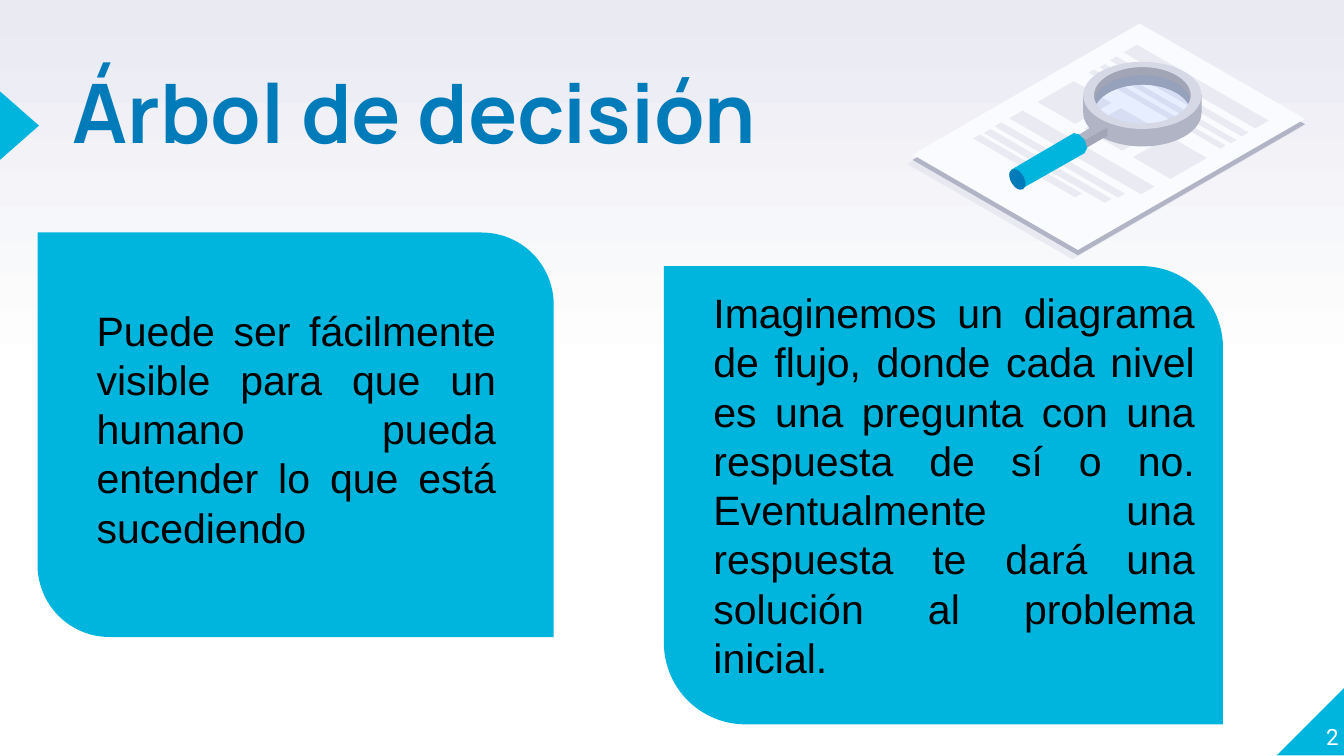
"""Build the "Árbol de decisión" slide with its magnifier illustration."""
from copy import deepcopy
from math import cos, radians, sin

from lxml import etree
from pptx import Presentation
from pptx.dml.color import RGBColor
from pptx.enum.shapes import MSO_SHAPE as Preset
from pptx.enum.text import MSO_ANCHOR as Anchor, PP_ALIGN as Align
from pptx.oxml.ns import qn
from pptx.util import Inches, Pt

COLORS = {
    "cyan": "00B5DD", "blue": "007BB9", "white": "FFFFFF", "black": "000000",
    "mist": "E9EAF2", "paper": "FAFBFF", "silver": "D6D8E5",
    "steel": "B1B4C4", "slate": "A1A5B5", "glass": "3E7EFF",
}
SLOPE = 0.577


def paint(shape, color, alpha=100):
    shape.shadow.inherit = False
    shape.fill.solid()
    shape.fill.fore_color.rgb = RGBColor.from_string(COLORS[color])
    shape.line.fill.background()
    if alpha < 100:
        tint = shape.element.spPr.find(qn("a:solidFill")).find(qn("a:srgbClr"))
        etree.SubElement(tint, qn("a:alpha"), val=str(alpha * 1000))


def add_text(text, box, size, font, color, bold=False, align=Align.LEFT,
             anchor=Anchor.TOP, inset=0, spacing=1.0):
    frame = slide.shapes.add_textbox(*map(Inches, box)).text_frame
    frame.word_wrap = True
    frame.vertical_anchor = anchor
    frame.margin_left = frame.margin_right = Inches(inset)
    frame.margin_top = frame.margin_bottom = Inches(inset)
    paragraph = frame.paragraphs[0]
    paragraph.alignment = align
    paragraph.line_spacing = spacing
    run = paragraph.add_run()
    run.text = text
    run.font.size = Pt(size)
    run.font.name = font
    run.font.bold = bold
    run.font.color.rgb = RGBColor.from_string(COLORS[color])


deck = Presentation()
deck.slide_width, deck.slide_height = Inches(10), Inches(10) * 9 // 16
slide = deck.slides.add_slide(deck.slide_layouts[6])

backdrop = slide.background.fill
backdrop.gradient()
backdrop.gradient_angle = 90
for stop, color in zip(backdrop.gradient_stops, ("white", "mist")):
    stop.color.rgb = RGBColor.from_string(COLORS[color])
stops = slide.element.find(".//" + qn("a:gsLst"))
middle = deepcopy(stops[0])
middle.set("pos", "50000")
stops.insert(1, middle)

corner = slide.shapes.add_shape(
    Preset.RIGHT_TRIANGLE, *map(Inches, (9.5, 5.11, 0.51, 0.51)))
corner.element.spPr.xfrm.set("flipH", "1")
paint(corner, "cyan")
pointer = slide.shapes.add_shape(
    Preset.ISOSCELES_TRIANGLE, *map(Inches, (-0.11, 0.79, 0.51, 0.29)))
pointer.rotation = 90
paint(pointer, "cyan")

add_text("Árbol de decisión", (0.54, 0.6, 6.17, 0.73), 44, "Manrope", "blue",
         bold=True, spacing=0.8)
add_text("2", (9.46, 5.07, 0.5, 0.51), 12, "Roboto", "white",
         align=Align.RIGHT, anchor=Anchor.BOTTOM)

sheets = [
    (6.75, 1.22, 1.69, 1.23, "silver", 40),
    (6.79, 1.19, 1.69, 1.23, "steel", 100),
    (6.79, 1.15, 1.69, 1.23, "paper", 100),
]
printed = [
    (8.36, 0.39, 0.1, 0.98), (8.26, 0.45, 0.05, 0.98),
    (8.18, 0.5, 0.04, 0.98), (8.1, 0.54, 0.04, 0.98),
    (7.51, 0.88, 0.1, 0.98), (7.4, 0.94, 0.05, 0.92),
    (7.32, 0.99, 0.05, 0.9), (7.24, 1.03, 0.05, 0.76),
    (7.72, 0.76, 0.27, 0.28), (8.07, 0.96, 0.27, 0.28),
    (8.43, 1.17, 0.27, 0.28),
]
pieces = []
for x, y, rise, fall, color, alpha in sheets + [(*p, "mist", 100) for p in printed]:
    pieces.append(([[(x, y), (x + rise, y - SLOPE * rise),
                     (x + rise + fall, y + SLOPE * (fall - rise)),
                     (x + fall, y + SLOPE * fall)]], color, alpha))

low_outer, low_inner, top_outer, top_inner, lens = [
    [(8.5 + rx * cos(radians(turn)), cy + ry * sin(radians(turn)))
     for turn in range(0, 360, 5)]
    for cy, rx, ry in ((0.84, 0.44, 0.25), (0.84, 0.36, 0.21),
                       (0.71, 0.44, 0.25), (0.71, 0.36, 0.21),
                       (0.77, 0.36, 0.21))]
inner_wall = low_inner[40:69] + [(8.88, 0.7), (8.87, 0.62), (8.66, 0.49),
                                 (8.34, 0.49), (8.16, 0.58), (8.11, 0.7)]
front_wall = [(8.1, 0.78), (8.26, 0.91), (8.4, 0.94), (8.64, 0.93),
              (8.8, 0.88), (8.9, 0.78), (8.87, 0.93), (8.75, 1.04),
              (8.57, 1.07), (8.35, 1.05), (8.2, 1), (8.1, 0.86)]
pieces += [
    ([low_outer, low_inner[::-1]], "steel", 100),
    ([inner_wall], "slate", 100),
    ([[(8.06, 0.84), (8.06, 0.7), (8.13, 0.82)]], "steel", 100),
    ([[(8.94, 0.84), (8.94, 0.7), (8.89, 0.77)]], "steel", 100),
    ([lens], "glass", 10),
    ([front_wall], "steel", 100),
    ([top_outer, top_inner[::-1]], "silver", 100),
    ([[(8.24, 0.95), (8.05, 1.05), (8, 1.02), (8.18, 0.91)]], "steel", 100),
    ([[(8.24, 1.01), (8.05, 1.12), (8.05, 1.05), (8.24, 0.95)]], "slate", 100),
    ([[(7.53, 1.26), (7.99, 0.99), (8.03, 1), (8.07, 1.04), (8.09, 1.1),
       (8.07, 1.14), (7.61, 1.4)]], "cyan", 100),
]

magnifier = slide.shapes.add_group_shape()
for contours, color, alpha in pieces:
    first, *holes = [[(Inches(x), Inches(y)) for x, y in c] for c in contours]
    outline = magnifier.shapes.build_freeform(*first[0])
    outline.add_line_segments(first[1:])
    for hole in holes:
        outline.move_to(*hole[0])
        outline.add_line_segments(hole[1:])
    paint(outline.convert_to_shape(), color, alpha)
handle_end = magnifier.shapes.add_shape(
    Preset.OVAL, *map(Inches, (7.52, 1.25, 0.1, 0.17)))
handle_end.rotation = 330
paint(handle_end, "blue")

cards = [
    ((0.28, 1.73, 3.84, 3.01), (0.62, 2.17, 3.17, 2.15),
     "Puede ser fácilmente visible para que un humano pueda entender lo que "
     "está sucediendo"),
    ((4.94, 1.98, 4.16, 3.41), (5.21, 2.04, 3.78, 2.44),
     "Imaginemos un diagrama de flujo, donde cada nivel es una pregunta con "
     "una respuesta de sí o no. Eventualmente una respuesta te dará una "
     "solución al problema inicial."),
]
for panel_box, text_box, message in cards:
    panel = slide.shapes.add_shape(
        Preset.ROUND_2_DIAG_RECTANGLE, *map(Inches, panel_box))
    panel.adjustments[0], panel.adjustments[1] = 0, 0.178
    paint(panel, "cyan")
    add_text(message, text_box, 22, "Arial", "black", align=Align.JUSTIFY,
             inset=0.1)

deck.save("out.pptx")
